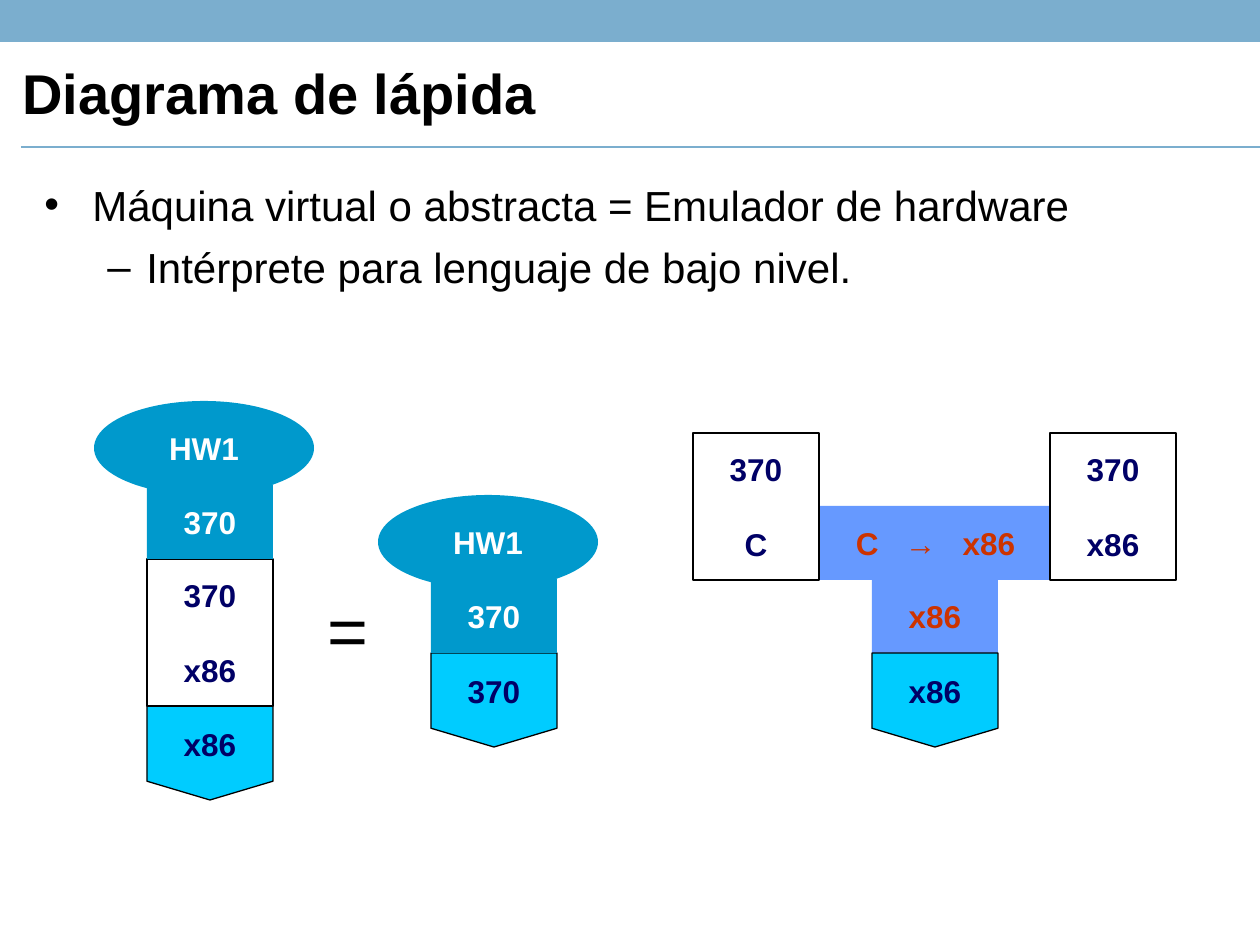
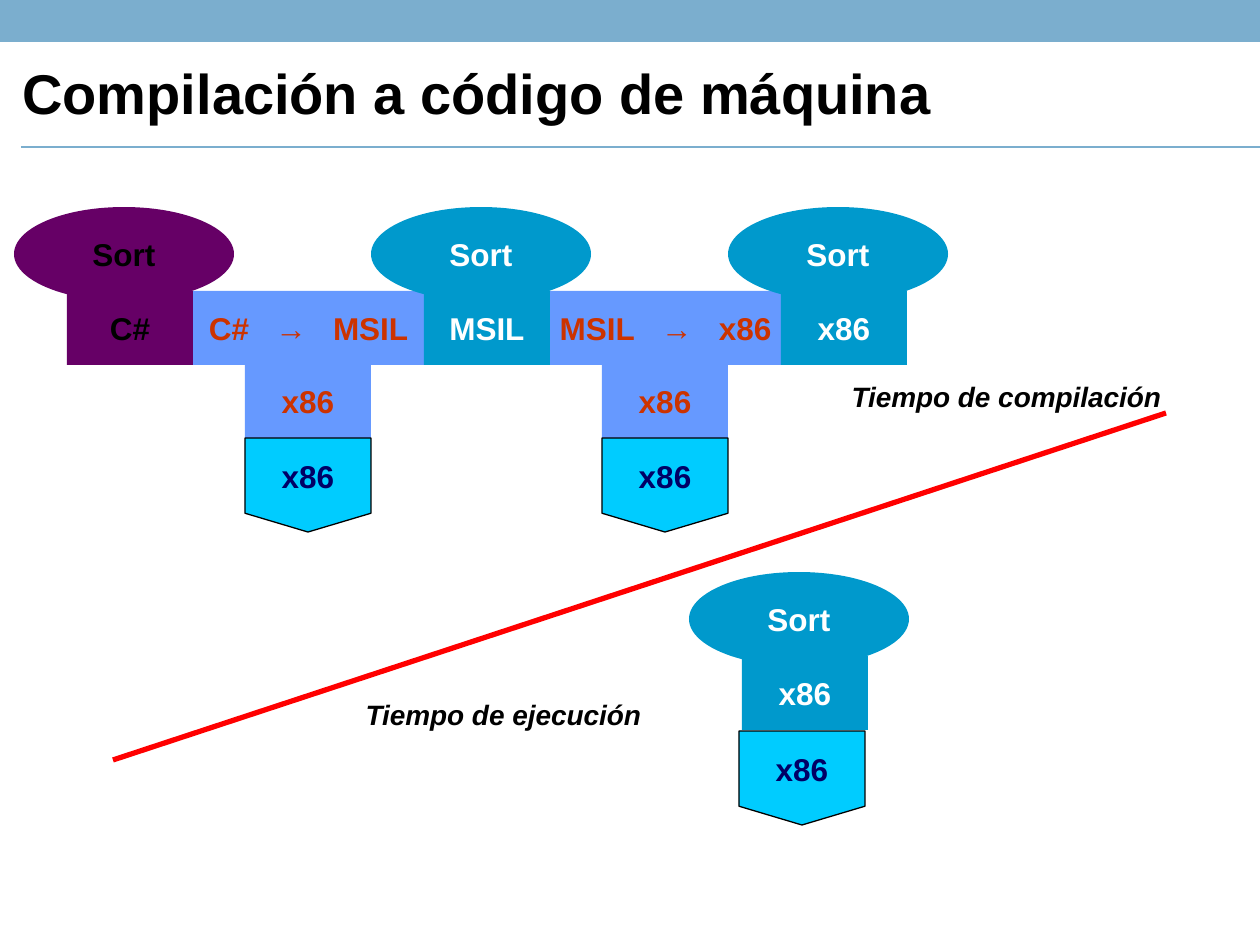
"""Build two slides of tombstone diagrams: an emulator and a compilation to machine code."""
from lxml.etree import SubElement
from pptx import Presentation
from pptx.dml.color import RGBColor
from pptx.enum.shapes import MSO_CONNECTOR, MSO_SHAPE
from pptx.enum.text import MSO_ANCHOR, PP_ALIGN
from pptx.oxml.ns import qn
from pptx.util import Inches, Pt

PX = Inches(1) / 126
FONT = "Arial"
BLACK = RGBColor(0x00, 0x00, 0x00)
WHITE = RGBColor(0xFF, 0xFF, 0xFF)
BAND = RGBColor(0x7B, 0xAE, 0xCE)
PROGRAM = RGBColor(0x00, 0x99, 0xCC)
SOURCE = RGBColor(0x66, 0x00, 0x66)
COMPILER = RGBColor(0x66, 0x99, 0xFF)
COMPILER_TEXT = RGBColor(0xCC, 0x33, 0x00)
MACHINE = RGBColor(0x00, 0xCC, 0xFF)
NAVY = RGBColor(0x00, 0x00, 0x66)
RED = RGBColor(0xFF, 0x00, 0x00)

BLOCK_W, BLOCK_H = 126, 74
HEAD_W, HEAD_H = 220, 94
BAR_W = 231
STEM_INSET = (BAR_W - BLOCK_W) // 2


def emu(*lengths):
    return [round(length * PX) for length in lengths]


class Deck:
    """Holds the shared style and the current slide."""

    def __init__(self):
        self.presentation = Presentation()
        self.presentation.slide_width, self.presentation.slide_height = emu(1260, 945)

    def new_slide(self, title):
        layout = self.presentation.slide_layouts[6]
        self.slide = self.presentation.slides.add_slide(layout)
        self.shape(MSO_SHAPE.RECTANGLE, 0, 0, 1260, 42, BAND)
        self.line(21, 147, 1260, 147, BAND, 1)
        heading = self.text(title, 10, 44, 1250, 105, 32, bold=True, wrap=True)
        heading.vertical_anchor = MSO_ANCHOR.MIDDLE
        heading.paragraphs[0].line_spacing = 0.9

    def style(self, paragraph, size, color, bold=False, italic=False):
        for run in paragraph.runs:
            font = run.font
            font.name, font.size = FONT, Pt(size)
            font.bold, font.italic = bold, italic
            font.color.rgb = color

    def text(self, content, x, y, w, h, size, bold=False, italic=False, wrap=False):
        frame = self.slide.shapes.add_textbox(*emu(x, y, w, h)).text_frame
        frame.word_wrap = wrap
        frame.text = content
        for paragraph in frame.paragraphs:
            self.style(paragraph, size, BLACK, bold, italic)
        return frame

    def caption(self, content, x, y, w):
        frame = self.text(content, x, y, w, 47, 16, bold=True, italic=True)
        frame.paragraphs[0].alignment = PP_ALIGN.CENTER

    def bullets(self, items, x, y, w, h):
        frame = self.text("\n".join(items), x, y, w, h, 24, wrap=True)
        levels = [("•", 48, 48), ("–", 102, 39)]
        for level, paragraph in enumerate(frame.paragraphs):
            mark, margin, hanging = levels[level]
            paragraph.level = level
            if level:
                paragraph.space_before = Pt(7)
            properties = paragraph._p.get_or_add_pPr()
            left, indent = emu(margin, -hanging)
            properties.set("marL", str(left))
            properties.set("indent", str(indent))
            SubElement(properties, qn("a:buFont")).set("typeface", FONT)
            SubElement(properties, qn("a:buChar")).set("char", mark)

    def line(self, x1, y1, x2, y2, color, width):
        connector = self.slide.shapes.add_connector(
            MSO_CONNECTOR.STRAIGHT, *emu(x1, y1, x2, y2))
        connector.line.color.rgb = color
        connector.line.width = Pt(width)
        SubElement(connector._element.spPr, qn("a:effectLst"))

    def shape(self, preset, x, y, w, h, fill=None, label="", color=WHITE, outlined=False):
        shape = self.slide.shapes.add_shape(preset, *emu(x, y, w, h))
        shape.shadow.inherit = False
        if fill is None:
            shape.fill.background()
        else:
            shape.fill.solid()
            shape.fill.fore_color.rgb = fill
        if outlined:
            shape.line.color.rgb = BLACK
            shape.line.width = Pt(0.75)
        else:
            shape.line.fill.background()
        frame = shape.text_frame
        frame.word_wrap = False
        frame.vertical_anchor = MSO_ANCHOR.MIDDLE
        frame.text = label
        for paragraph in frame.paragraphs:
            paragraph.alignment = PP_ALIGN.CENTER
            self.style(paragraph, 18, color, bold=True)
        return shape

    def program(self, name, language, x, y, fill=PROGRAM, color=WHITE):
        body = self.shape(MSO_SHAPE.RECTANGLE, x, y, BLOCK_W, BLOCK_H, fill, language, color)
        head = self.shape(MSO_SHAPE.OVAL, x - 53, y - 84, HEAD_W, HEAD_H, fill, name, color)
        self.slide.shapes.add_group_shape([body, head])

    def machine(self, language, x, y):
        return self.shape(MSO_SHAPE.FLOWCHART_OFFPAGE_CONNECTOR, x, y, BLOCK_W, HEAD_H,
                          MACHINE, language, NAVY, outlined=True)

    def interpreter(self, language, host, x, y):
        block = self.shape(MSO_SHAPE.RECTANGLE, x, y, BLOCK_W, 147, None,
                           f"{language}\n{host}", NAVY, outlined=True)
        block.text_frame.paragraphs[1].space_before = Pt(21)

    def compiler(self, source, target, host, x, y):
        stem_x = x + STEM_INSET
        stem = self.shape(MSO_SHAPE.RECTANGLE, stem_x, y + BLOCK_H - 1, BLOCK_W, BLOCK_H,
                          COMPILER, host, COMPILER_TEXT)
        bar = self.shape(MSO_SHAPE.RECTANGLE, x, y, BAR_W, BLOCK_H, COMPILER)
        paragraph = bar.text_frame.paragraphs[0]
        for piece in (source, " ", "→", " ", target):
            run = paragraph.add_run()
            run.text = piece
            if piece == " ":
                run._r.get_or_add_rPr().set("spc", "1000")
        self.style(paragraph, 18, COMPILER_TEXT, bold=True)
        base = self.machine(host, stem_x, y + 147)
        self.slide.shapes.add_group_shape([stem, bar, base])


def build_tombstones(deck):
    deck.new_slide("Diagrama de lápida")
    deck.bullets(["Máquina virtual o abstracta = Emulador de hardware",
                  "Intérprete para lenguaje de bajo nivel."], 32, 173, 1109, 210)
    deck.compiler("C", "x86", "x86", 820, 506)
    deck.interpreter("370", "C", 693, 433)
    deck.interpreter("370", "x86", 1050, 433)
    deck.machine("x86", 147, 706)
    deck.interpreter("370", "x86", 147, 559)
    deck.text("=", 315, 580, 66, 97, 40)
    deck.program("HW1", "370", 147, 485)
    deck.machine("370", 431, 653)
    deck.program("HW1", "370", 431, 579)


def build_compilation(deck):
    deck.new_slide("Compilación a código de máquina")
    left, top, pitch = 67, 291, BLOCK_W + BAR_W
    languages = ["C#", "MSIL", "x86"]
    for step, (source, target) in enumerate(zip(languages, languages[1:])):
        deck.compiler(source, target, "x86", left + BLOCK_W + step * pitch, top)
    for step, language in enumerate(languages):
        fill, color = (PROGRAM, WHITE) if step else (SOURCE, BLACK)
        deck.program("Sort", language, left + step * pitch, top, fill, color)
    deck.caption("Tiempo de compilación", 839, 373, 335)
    deck.caption("Tiempo de ejecución", 353, 691, 301)
    deck.program("Sort", "x86", 742, 656)
    deck.machine("x86", 739, 731)
    deck.line(113, 760, 1166, 413, RED, 3)


def main():
    deck = Deck()
    build_tombstones(deck)
    build_compilation(deck)
    deck.presentation.save("out.pptx")


if __name__ == "__main__":
    main()
